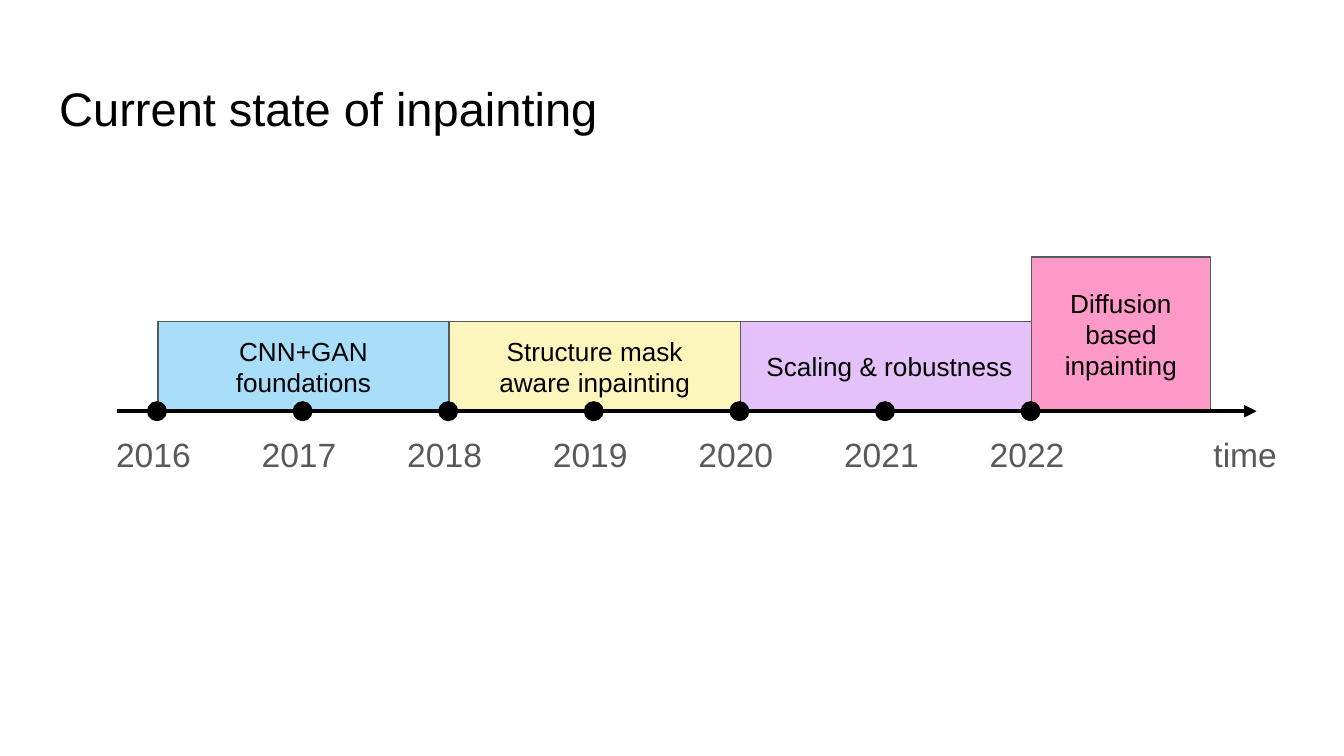
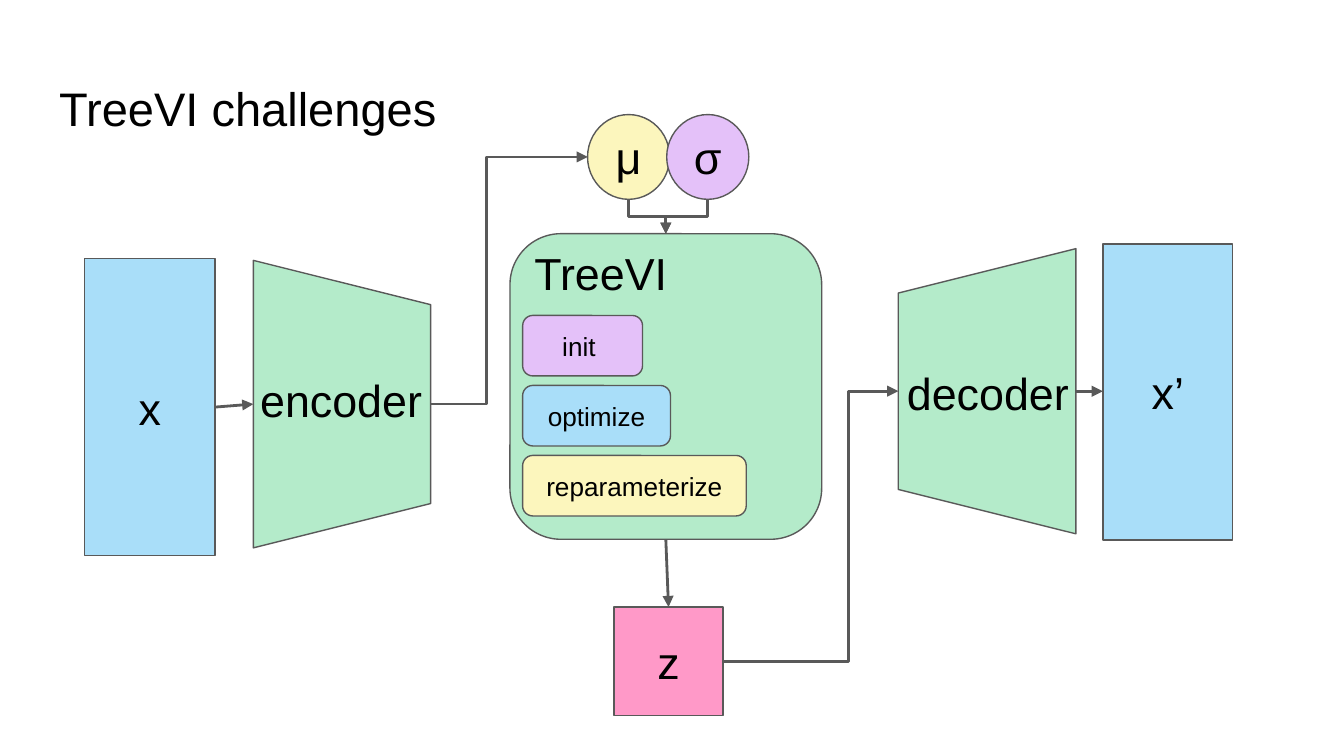
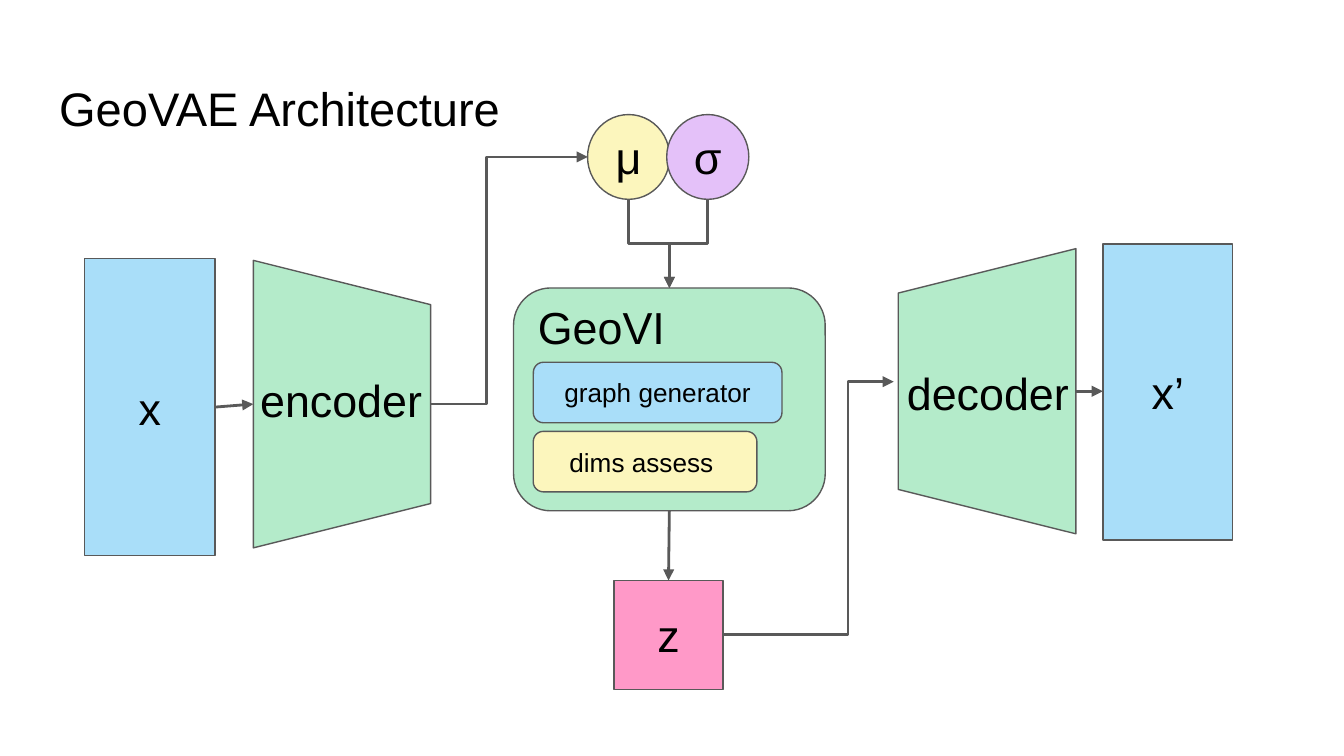
from dataclasses import dataclass

from lxml.etree import SubElement
from pptx import Presentation
from pptx.dml.color import RGBColor
from pptx.enum.shapes import MSO_CONNECTOR, MSO_SHAPE
from pptx.enum.text import MSO_ANCHOR, MSO_AUTO_SIZE, PP_ALIGN
from pptx.oxml.ns import qn
from pptx.util import Pt

FONT = "Arial"
BLACK, GRAY, WHITE = "000000", "595959", "FFFFFF"
BLUE, YELLOW, PURPLE = "A9DEF9", "FCF6BD", "E4C1F9"
PINK, GREEN = "FF99C8", "B4EBCA"
INSET = 7.2


@dataclass
class Box:
    left: float
    top: float
    width: float
    height: float

    @property
    def right(self):
        return self.left + self.width

    @property
    def bottom(self):
        return self.top + self.height

    @property
    def cx(self):
        return self.left + self.width / 2

    @property
    def cy(self):
        return self.top + self.height / 2

    def lengths(self):
        return [Pt(v) for v in (self.left, self.top, self.width, self.height)]


def rgb(code):
    return RGBColor.from_string(code)


def write(shape, lines, size, color=BLACK, align=PP_ALIGN.LEFT, anchor=MSO_ANCHOR.TOP):
    frame = shape.text_frame
    frame.word_wrap = True
    frame.auto_size = MSO_AUTO_SIZE.NONE
    frame.vertical_anchor = anchor
    frame.margin_left = frame.margin_right = Pt(INSET)
    frame.margin_top = frame.margin_bottom = Pt(INSET)
    for i, line in enumerate(lines.split("\n")):
        paragraph = frame.add_paragraph() if i else frame.paragraphs[0]
        paragraph.alignment = align
        run = paragraph.add_run()
        run.text = line
        run.font.name = FONT
        run.font.size = Pt(size)
        run.font.color.rgb = rgb(color)


def add_block(slide, kind, box, fill, text="", size=24, line=GRAY):
    block = slide.shapes.add_shape(kind, *box.lengths())
    block.shadow.inherit = False
    block.fill.solid()
    block.fill.fore_color.rgb = rgb(fill)
    block.line.color.rgb = rgb(line)
    block.line.width = Pt(0.75)
    if text:
        write(block, text, size, align=PP_ALIGN.CENTER, anchor=MSO_ANCHOR.MIDDLE)
    return block


def add_label(slide, box, text, size=24, color=BLACK):
    label = slide.shapes.add_textbox(*box.lengths())
    write(label, text, size, color)
    return label


def add_trapezoid(slide, box, rotation):
    """Fill the upright box with a trapezoid turned by a quarter."""
    unturned = Box(box.cx - box.height / 2, box.cy - box.width / 2, box.height, box.width)
    add_block(slide, MSO_SHAPE.TRAPEZOID, unturned, GREEN).rotation = rotation


def add_arrow(slide, start, end, color=GRAY, width=1.5, kind=MSO_CONNECTOR.STRAIGHT):
    arrow = slide.shapes.add_connector(kind, *[Pt(v) for v in (*start, *end)])
    arrow.line.color.rgb = rgb(color)
    arrow.line.width = Pt(width)
    SubElement(arrow.line._get_or_add_ln(), qn("a:tailEnd"), type="triangle")
    SubElement(arrow._element.spPr, qn("a:effectLst"))
    return arrow


def add_side_elbow(slide, start, end, bend_x):
    """Arrow that runs sideways, turns at bend_x, and runs sideways again."""
    arrow = add_arrow(slide, start, end, kind=MSO_CONNECTOR.ELBOW)
    geometry = arrow._element.spPr.find(qn("a:prstGeom"))
    adjustments = geometry.find(qn("a:avLst"))
    if adjustments is None:
        adjustments = SubElement(geometry, qn("a:avLst"))
    share = (bend_x - start[0]) / (end[0] - start[0])
    SubElement(adjustments, qn("a:gd"), name="adj1", fmla=f"val {round(share * 100000)}")


def add_down_elbow(slide, start, end):
    """Arrow that runs down, turns halfway, and runs down again."""
    cx, cy = (start[0] + end[0]) / 2, (start[1] + end[1]) / 2
    half_across, half_down = abs(end[0] - start[0]) / 2, (end[1] - start[1]) / 2
    rightward = end[0] > start[0]
    reach = half_down if rightward else -half_down
    arrow = add_arrow(slide, (cx + reach, cy - half_across), (cx - reach, cy + half_across),
                      kind=MSO_CONNECTOR.ELBOW)
    turn = 270 if rightward else 90
    arrow._element.spPr.find(qn("a:xfrm")).set("rot", str(turn * 60000))


def add_titled_slide(prs, title):
    slide = prs.slides.add_slide(prs.slide_layouts[5])
    heading = slide.shapes.title
    heading.left, heading.top, heading.width, heading.height = Box(24.5, 35.3, 671, 45).lengths()
    write(heading, title, 25.2)
    return slide


def add_timeline(slide, box):
    """Draw the eras on a time axis along the bottom edge of the box."""
    first_year, last_year, year_step, dot = 2016, 2022, 78, 10
    axis_y = box.bottom

    def year_x(year):
        return box.left + 21.5 + (year - first_year) * year_step

    eras = [
        (2022, 95.8, box.height, PINK, "Diffusion\nbased inpainting"),
        (2020, 2 * year_step, 48, PURPLE, " Scaling & robustness"),
        (2018, 2 * year_step, 48, YELLOW, "Structure mask\naware inpainting"),
        (2016, 2 * year_step, 48, BLUE, "CNN+GAN foundations"),
    ]
    for start, width, height, fill, text in eras:
        era = Box(year_x(start) + 0.5, axis_y - height, width, height)
        add_block(slide, MSO_SHAPE.RECTANGLE, era, fill, text, 14)
    add_arrow(slide, (box.left, axis_y), (box.right, axis_y), BLACK, 2.25)

    labels = [(box.right - 30.2, 52.6, "time")]
    for year in range(first_year, last_year + 1):
        x = year_x(year)
        add_block(slide, MSO_SHAPE.OVAL, Box(x - dot / 2, axis_y - dot / 2, dot, dot),
                  BLACK, line=BLACK)
        labels.append((x - 29, 57.6, str(year)))
    for left, width, text in labels:
        label = add_label(slide, Box(left, axis_y + 5.2, width, 36), text, 18, GRAY)
        label.text_frame.auto_size = MSO_AUTO_SIZE.SHAPE_TO_FIT_TEXT


def add_module(slide, box, name, steps, indent, first_top, pitch):
    """Draw the inference module with its steps stacked under its name."""
    add_block(slide, MSO_SHAPE.ROUNDED_RECTANGLE, box, GREEN)
    for i, (text, width, fill) in enumerate(steps):
        step = Box(box.left + indent, box.top + first_top + i * pitch, width, 32.4)
        add_block(slide, MSO_SHAPE.ROUNDED_RECTANGLE, step, fill, text, 14)
    add_label(slide, Box(box.left + 6, box.top - 1, 102, 38), name)


def add_autoencoder(slide, module, latent_top, decoder_entry):
    """Draw the encoder, the latent parts and the decoder around the module box."""
    x, x_out = Box(45.4, 138.6, 69.8, 159), Box(590.8, 130.7, 69.6, 158.6)
    encoder, decoder = Box(135.7, 139.5, 95, 154), Box(481.2, 133.2, 95.2, 152.8)
    mean, deviation = Box(314.8, 61.4, 44, 45.4), Box(357.2, 61.4, 44, 45.4)
    latent = Box(329, latent_top, 58.3, 58.3)

    add_block(slide, MSO_SHAPE.RECTANGLE, x, BLUE, "x")
    add_block(slide, MSO_SHAPE.RECTANGLE, x_out, BLUE, "x’")
    add_block(slide, MSO_SHAPE.RECTANGLE, latent, PINK, "z")
    add_block(slide, MSO_SHAPE.OVAL, mean, YELLOW, "μ")
    add_block(slide, MSO_SHAPE.OVAL, deviation, PURPLE, "σ")
    add_trapezoid(slide, encoder, 90)
    add_trapezoid(slide, decoder, 270)
    add_label(slide, Box(encoder.left - 3.4, 192.4, 102.2, 32.4), "encoder")
    add_label(slide, Box(decoder.left - 2.4, 188.8, 105, 32.4), "decoder")

    add_arrow(slide, (x.right, x.cy), (encoder.left, encoder.cy))
    add_arrow(slide, (decoder.right, decoder.cy), (x_out.left, decoder.cy))
    add_arrow(slide, (module.cx, module.bottom), (latent.cx, latent.top))
    add_side_elbow(slide, (encoder.right, encoder.cy), (mean.left, mean.cy), 260.8)
    add_side_elbow(slide, (latent.right, latent.cy), decoder_entry, 454.4)
    for parameter in (mean, deviation):
        add_down_elbow(slide, (parameter.cx, parameter.bottom), (module.cx, module.top))


def main():
    prs = Presentation()
    prs.slide_width, prs.slide_height = Pt(720), Pt(405)

    add_timeline(add_titled_slide(prs, "Current state of inpainting"),
                 Box(62.6, 137.6, 610.6, 82.7))

    slide = add_titled_slide(prs, "TreeVI challenges")
    tree = Box(273.2, 125.2, 167, 163.7)
    add_module(slide, tree, "TreeVI",
               [("init ", 64.2, PURPLE), ("optimize", 79.2, BLUE),
                ("reparameterize", 119.8, YELLOW)],
               indent=6.8, first_top=43.8, pitch=37.5)
    add_autoencoder(slide, tree, 325.2, (481.2, 209.6))

    slide = add_titled_slide(prs, "GeoVAE Architecture")
    geo = Box(275.1, 154.3, 167, 119.4)
    add_module(slide, geo, "GeoVI",
               [("graph generator", 133.2, BLUE), ("dims assess ", 119.8, YELLOW)],
               indent=10.6, first_top=39.8, pitch=37)
    add_autoencoder(slide, geo, 311, (478.8, 204.5))

    prs.save("out.pptx")


if __name__ == "__main__":
    main()
